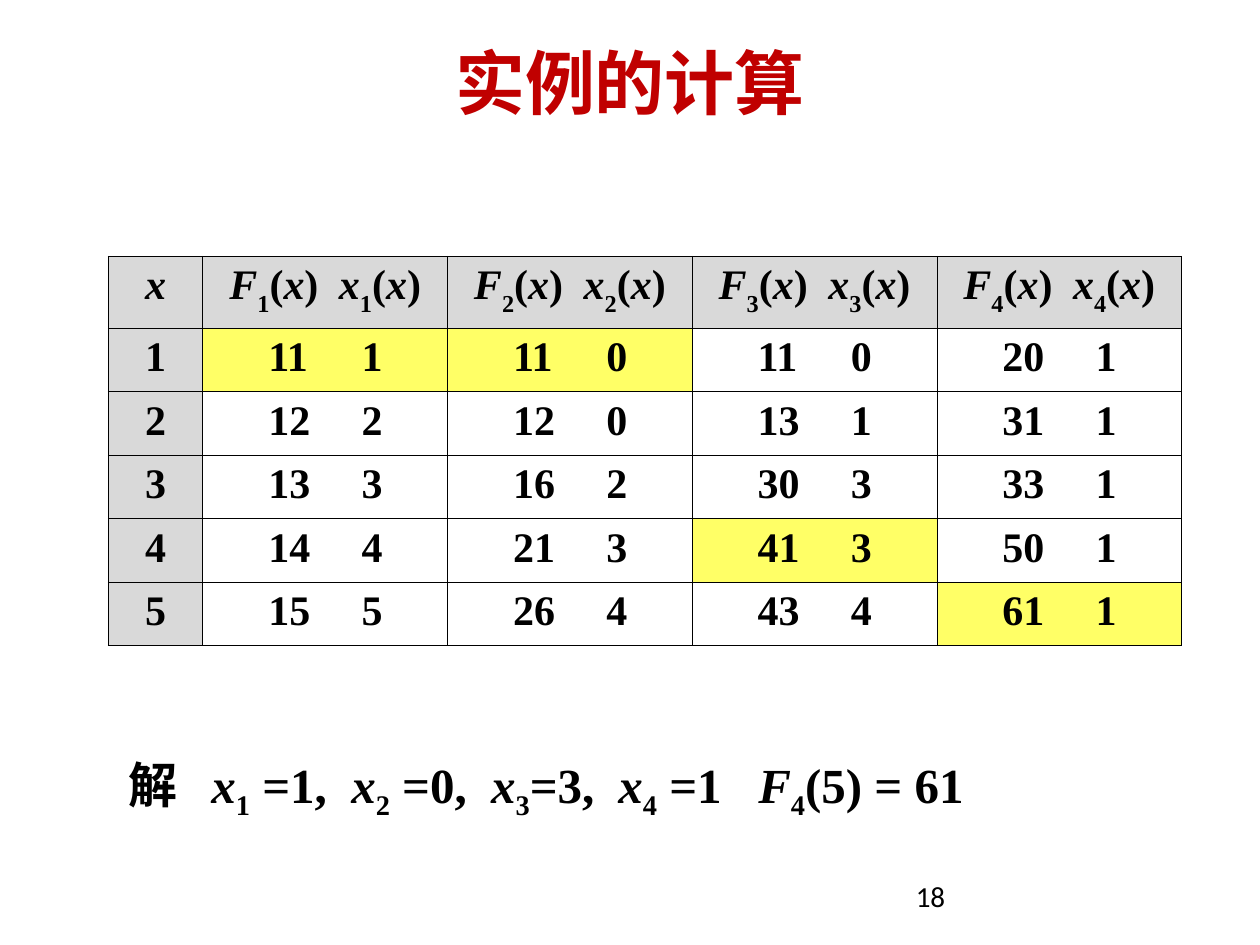
from itertools import groupby

from pptx import Presentation
from pptx.dml.color import RGBColor
from pptx.enum.text import MSO_ANCHOR as Anchor, PP_ALIGN as Align
from pptx.oxml.ns import qn
from pptx.util import Emu, Inches, Pt
from lxml.etree import SubElement

COLORS = {
    "title": "C00000",
    "text": "000000",
    "border": "000000",
    "label": "D9D9D9",
    "highlight": "FFFF66",
    "plain": "FFFFFF",
}
SERIF = "Times New Roman"
SANS = "Calibri"
WIDTH, HEIGHT = Inches(10), Inches(7.5)

STEPS = (1, 2, 3, 4)
RESULTS = [
    [(11, 1), (11, 0), (11, 0), (20, 1)],
    [(12, 2), (12, 0), (13, 1), (31, 1)],
    [(13, 3), (16, 2), (30, 3), (33, 1)],
    [(14, 4), (21, 3), (41, 3), (50, 1)],
    [(15, 5), (26, 4), (43, 4), (61, 1)],
]
CHOSEN = {(1, 1), (1, 2), (4, 3), (5, 4)}


def color(name):
    return RGBColor.from_string(COLORS[name])


def share(left, top, width, height):
    return (Emu(round(WIDTH * left)), Emu(round(HEIGHT * top)),
            Emu(round(WIDTH * width)), Emu(round(HEIGHT * height)))


def split_math(text):
    styled = []
    previous = ""
    for character in text:
        if character != "_":
            styled.append((character, (character in "xF", previous == "_")))
        previous = character
    for style, group in groupby(styled, key=lambda pair: pair[1]):
        yield "".join(character for character, _ in group), *style


def write(frame, text, size, font=SERIF, fill="text", bold=True,
          align=Align.LEFT, tabs=(), subscript=-30, spacing=None):
    paragraph = frame.paragraphs[0]
    paragraph.alignment = align
    if spacing:
        paragraph.line_spacing = spacing
    if tabs:
        tab_list = SubElement(paragraph._p.get_or_add_pPr(), qn("a:tabLst"))
        for position in tabs:
            SubElement(tab_list, qn("a:tab"), pos=str(Inches(position)), algn="l")
    for piece, italic, lowered in split_math(text):
        run = paragraph.add_run()
        run.text = piece
        run.font.name = font
        run.font.size = Pt(size)
        run.font.bold = bold
        run.font.italic = italic
        run.font.color.rgb = color(fill)
        if lowered:
            run._r.get_or_add_rPr().set("baseline", str(subscript * 1000))


def place_title(slide, box):
    title = slide.shapes.title
    title.left, title.top, title.width, title.height = box
    title.text_frame.vertical_anchor = Anchor.MIDDLE
    write(title.text_frame, "实例的计算", 40, font=SANS, fill="title", align=Align.CENTER)


def format_cell(cell, fill):
    properties = cell._tc.get_or_add_tcPr()
    for side in ("lnL", "lnR", "lnT", "lnB"):
        line = SubElement(properties, qn(f"a:{side}"), w=str(Pt(0.45)))
        solid = SubElement(line, qn("a:solidFill"))
        SubElement(solid, qn("a:srgbClr"), val=COLORS["border"])
    cell.fill.solid()
    cell.fill.fore_color.rgb = color(fill)


def place_table(slide, box):
    rows, columns = len(RESULTS) + 1, len(STEPS) + 1
    table = slide.shapes.add_table(rows, columns, *box).table
    table.first_row = table.horz_banding = False
    width, height = box[2:]
    label_width, header_height = Inches(0.75), Inches(0.57)
    for index, column in enumerate(table.columns):
        column.width = Emu((width - label_width) // len(STEPS)) if index else label_width
    for index, row in enumerate(table.rows):
        row.height = Emu((height - header_height) // len(RESULTS)) if index else header_height

    header = ["x"] + [f"F_{step}(x)\tx_{step}(x)" for step in STEPS]
    body = [[str(x)] + [f"{best}\t{choice}" for best, choice in pairs]
            for x, pairs in enumerate(RESULTS, 1)]
    for row, texts in enumerate([header] + body):
        for column, text in enumerate(texts):
            cell = table.cell(row, column)
            is_label = row == 0 or column == 0
            chosen = "highlight" if (row, column) in CHOSEN else "plain"
            format_cell(cell, "label" if is_label else chosen)
            if column == 0:
                write(cell.text_frame, text, 24, align=Align.CENTER)
                continue
            indent, tab = (0.52, 0.74) if row else (0.21, 0.87)
            cell.margin_left = Inches(indent)
            write(cell.text_frame, text, 24, tabs=(tab,))


def place_text(slide, box, text, size, **style):
    frame = slide.shapes.add_textbox(*box).text_frame
    frame.word_wrap = True
    write(frame, text, size, **style)


def build():
    presentation = Presentation()
    presentation.slide_width, presentation.slide_height = WIDTH, HEIGHT
    slide = presentation.slides.add_slide(presentation.slide_layouts[5])
    place_text(slide, share(0.717, 0.927, 0.233, 0.053), "18", 16.6,
               font=SANS, bold=False, spacing=0.9)
    place_title(slide, share(0.05, 0.04, 0.9, 0.092))
    place_table(slide, share(0.086, 0.271, 0.852, 0.412))
    place_text(slide, share(0.092, 0.792, 0.691, 0.084),
               "解\tx_1 =1,\tx_2 =0,\tx_3=3,\tx_4 =1\tF_4(5) = 61", 28,
               tabs=(0.66, 1.77, 2.88, 3.89, 5), subscript=-25)
    presentation.save("out.pptx")


if __name__ == "__main__":
    build()
